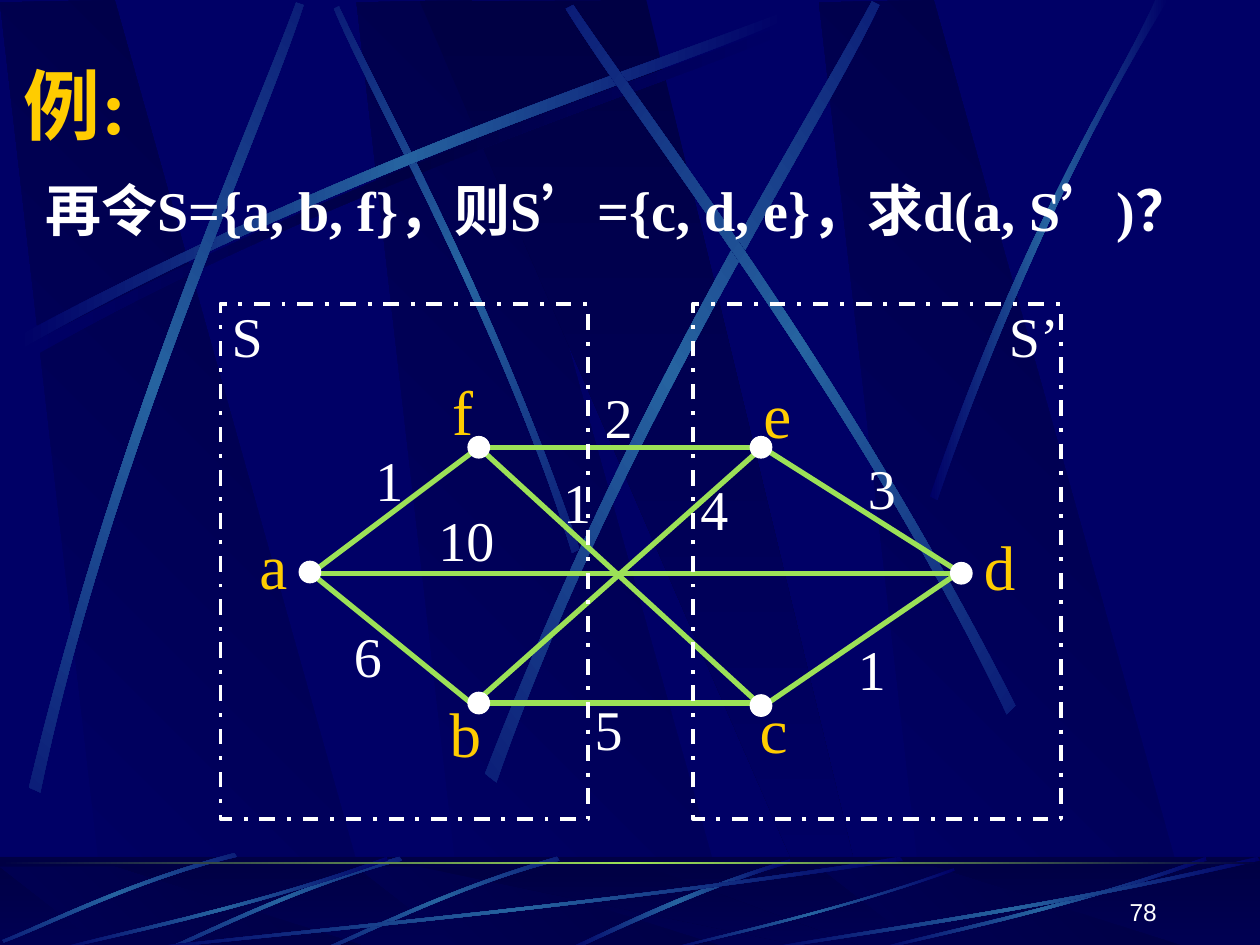
import math
from typing import NamedTuple

import pptx
import pptx.dml.color
import pptx.enum.dml
import pptx.enum.shapes
import pptx.enum.text
import pptx.oxml
import pptx.oxml.ns
import pptx.util

COLS, ROWS = 10, 7.5
NAVY, DARK, TEAL, LIME, GOLD, WHITE = "000066", "000044", "2663A0", "9CE157", "FFCC00", "FFFFFF"
GLOW = (NAVY, TEAL, NAVY)
SHADE = (NAVY, DARK, NAVY)
SERIF, SANS = "Times New Roman", "Arial"
SHAPE = pptx.enum.shapes.MSO_SHAPE
ALIGN = pptx.enum.text.PP_ALIGN
ANCHOR = pptx.enum.text.MSO_ANCHOR


class Streak(NamedTuple):
    out: tuple
    back: tuple
    turn: float = 0
    tones: tuple = GLOW
    shifts: tuple = (0,)


class Label(NamedTuple):
    text: str
    col: float
    row: float
    width: float = 0.42
    tone: str = WHITE
    size: int = 32


SLAT = ((0.86, 7.51), (3.02, 7.52), (0.91, 0), (0, 0.02))
WEDGE = ((3.33, 0.01), (6.58, 7.51), (6.94, 7.51), (5.13, 0))
LOW_SLAT = ((0.86, 7.55), (3.02, 7.55), (0.91, 6.88), (0, 6.88))
LOW_WEDGE = ((3.33, 6.88), (6.58, 7.55), (6.94, 7.55), (5.13, 6.88))

HIGH = (
    Streak((0.2, 2.75, 2.84, 1.34, 5.24, 0.59, 6.26, 0.18),
           (6.29, 0.24, 5.28, 0.69, 2.54, 1.51, 0.23, 2.85), 0, SHADE),
    Streak((4.6, 4.36, 3.91, 2.34, 3.02, 0.77, 2.69, 0.05),
           (2.65, 0.07, 2.95, 0.79, 3.98, 2.58, 4.54, 4.39), 45),
    Streak((0.14, 2.67, 2.78, 1.25, 5.18, 0.51, 6.2, 0.1),
           (6.23, 0.16, 5.22, 0.61, 2.48, 1.43, 0.17, 2.77)),
    Streak((0.23, 6.25, 0.93, 3.34, 1.97, 1.05, 2.35, 0.02),
           (2.41, 0.04, 2.07, 1.09, 0.86, 3.68, 0.32, 6.29), 311.7),
    Streak((3.85, 6.14, 4.98, 3.2, 6.38, 1.02, 6.92, 0.01),
           (6.98, 0.04, 6.49, 1.08, 4.86, 3.55, 3.94, 6.21), 321.6),
    Streak((8.06, 5.6, 6.7, 2.93, 5.16, 0.95, 4.55, 0.04),
           (4.49, 0.07, 5.07, 1.01, 6.85, 3.25, 7.99, 5.67), 34.7),
    Streak((7.38, 3.94, 8.14, 1.73, 8.88, 0.66, 9.17, 0),
           (9.27, 0, 8.36, 1.45, 7.69, 3.22, 7.44, 3.97)),
)
LOW = (
    Streak((6.27, 6.82, 5.37, 7.09, 4.77, 7.42, 4.48, 7.54),
           (4.53, 7.55, 4.9, 7.38, 5.71, 7, 6.28, 6.85)),
    Streak((4.42, 6.8, 3.55, 7.05, 2.87, 7.4, 2.56, 7.53),
           (2.57, 7.55, 2.88, 7.43, 3.65, 7.03, 4.44, 6.83), 315, GLOW, (0, -1.25)),
    Streak((1.86, 6.77, 0.99, 7, 0.33, 7.34, 0.02, 7.46),
           (0.03, 7.48, 0.34, 7.37, 1.1, 6.98, 1.88, 6.8), 315),
    Streak((7.17, 6.83, 4.49, 7.23, 2.06, 7.44, 1.03, 7.55),
           (1, 7.54, 2.02, 7.41, 4.8, 7.18, 7.14, 6.8)),
    Streak((3.08, 6.83, 1.93, 7.23, 0.88, 7.44, 0.43, 7.55),
           (0.42, 7.54, 0.86, 7.41, 2.06, 7.18, 3.07, 6.8), 0, GLOW, (0, 6.5)),
    Streak((7.58, 6.91, 6.58, 7.26, 5.67, 7.45, 5.28, 7.55),
           (5.27, 7.54, 5.65, 7.43, 6.69, 7.22, 7.57, 6.89)),
    Streak((10, 6.83, 8.27, 7.23, 6.69, 7.44, 6.02, 7.55),
           (6, 7.54, 6.66, 7.41, 8.46, 7.18, 9.98, 6.8)),
)

NODES = ((3.8, 3.55), (3.8, 5.58), (6.04, 3.55), (6.04, 5.6), (2.46, 4.54), (7.63, 4.55))
EDGES = (
    (3.8, 5.55, 6.05, 3.55), (3.8, 3.55, 6.04, 5.6), (2.47, 4.55, 3.8, 5.63),
    (3.8, 5.58, 6.05, 5.58), (6.05, 5.61, 7.63, 4.53), (2.47, 4.55, 7.63, 4.55),
    (2.47, 4.55, 3.8, 3.55), (3.8, 3.55, 6.05, 3.55), (6.05, 3.55, 7.63, 4.55),
)
LABELS = (
    Label("a", 1.96, 4.13, 0.42, GOLD, 36), Label("b", 3.47, 5.46, 0.45, GOLD, 36),
    Label("c", 5.93, 5.43, 0.42, GOLD, 36), Label("d", 7.71, 4.14, 0.45, GOLD, 36),
    Label("e", 5.96, 2.93, 0.42, GOLD, 36), Label("f", 3.49, 2.91, 0.37, GOLD, 36),
    Label("1", 2.88, 3.49), Label("2", 4.7, 2.99), Label("5", 4.62, 5.46),
    Label("6", 2.71, 4.88), Label("10", 3.38, 3.96, 0.65), Label("1", 4.37, 3.66),
    Label("1", 6.71, 4.99), Label("4", 5.46, 3.72), Label("3", 6.79, 3.55),
    Label("S’", 7.91, 2.34, 0.6), Label("S", 1.74, 2.34, 0.45),
)


def cells(*spans: float) -> list:
    return [pptx.util.Inches(span) for span in spans]


def tint(code: str):
    return pptx.dml.color.RGBColor.from_string(code)


def paint(shape, tones: tuple, angle: float = 0, alpha: int = 100) -> None:
    stops = "".join(
        f'<a:gs pos="{100000 * i // (len(tones) - 1)}"><a:srgbClr val="{tone}">'
        f'<a:alpha val="{alpha * 1000}"/></a:srgbClr></a:gs>'
        for i, tone in enumerate(tones))
    shape.shadow.inherit = False
    shape.line.fill.background()
    shape.fill.background()
    props = shape.element.spPr
    props.replace(props.find(pptx.oxml.ns.qn("a:noFill")), pptx.oxml.parse_xml(
        f'<a:gradFill {pptx.oxml.ns.nsdecls("a")} rotWithShape="1"><a:gsLst>{stops}</a:gsLst>'
        f'<a:lin ang="{int(angle * 60000)}" scaled="1"/></a:gradFill>'))


def outline(slide, points: list):
    first, *rest = [cells(*point) for point in points]
    pen = slide.shapes.build_freeform(*first)
    pen.add_line_segments(rest)
    return pen.convert_to_shape()


def curve(shape) -> None:
    legs = list(shape.element.iter(pptx.oxml.ns.qn("a:lnTo")))
    for trio in (legs[:3], legs[4:7]):
        arc = pptx.oxml.parse_xml(f'<a:cubicBezTo {pptx.oxml.ns.nsdecls("a")}/>')
        trio[0].addprevious(arc)
        for leg in trio:
            arc.append(leg[0])
            leg.getparent().remove(leg)


def spin(x: float, y: float, angle: float) -> tuple:
    c, s = math.cos(math.radians(angle)), math.sin(math.radians(angle))
    return x * c - y * s, x * s + y * c


def draw_streak(slide, streak: Streak) -> None:
    spots = streak.out + streak.back
    for shift in streak.shifts:
        flat = [spin(x + shift, y, -streak.turn) for x, y in zip(spots[::2], spots[1::2])]
        mid = [(min(axis) + max(axis)) / 2 for axis in zip(*flat)]
        hub = spin(*mid, streak.turn)
        shape = outline(slide, [(x + hub[0] - mid[0], y + hub[1] - mid[1]) for x, y in flat])
        curve(shape)
        shape.rotation = streak.turn
        paint(shape, streak.tones)


def draw_slats(slide, slat: tuple, wedge: tuple) -> None:
    for shift in (2.83, 0, 6.5):
        paint(outline(slide, [(x + shift, y) for x, y in slat]), (NAVY, DARK), 315)
    paint(outline(slide, wedge), (DARK, NAVY), 90)


def draw_bar(slide, row: float, height: float, tones: tuple, angle: float = 0,
             alpha: int = 100) -> None:
    bar = slide.shapes.add_shape(SHAPE.RECTANGLE, *cells(0, row, COLS, height))
    paint(bar, tones, angle, alpha)


def draw_back(slide) -> None:
    draw_slats(slide, SLAT, WEDGE)
    for streak in HIGH:
        draw_streak(slide, streak)
    draw_bar(slide, 6.8, 0.75, (DARK, NAVY), 90)
    draw_slats(slide, LOW_SLAT, LOW_WEDGE)
    draw_bar(slide, 6.8, 0.75, (DARK, DARK), 0, 50)
    for streak in LOW:
        draw_streak(slide, streak)
    draw_bar(slide, 6.84, 0.02, (DARK, LIME, DARK))
    layer = slide.slide_layout.placeholders[0].element.getparent()
    for shape in list(slide.shapes):
        if not shape.is_placeholder:
            layer.append(shape.element)


def write(shape, text: str, size: int, tone: str, font: str = SERIF, bold: bool = False,
          align=ALIGN.LEFT, anchor=ANCHOR.TOP, wrap: bool = True) -> None:
    frame = shape.text_frame
    frame.text = text
    frame.word_wrap = wrap
    frame.auto_size = pptx.enum.text.MSO_AUTO_SIZE.NONE
    frame.vertical_anchor = anchor
    para = frame.paragraphs[0]
    para.alignment = align
    para.font.name, para.font.size, para.font.bold = font, pptx.util.Pt(size), bold
    para.font.color.rgb = tint(tone)


def draw_edge(slide, ends: tuple) -> None:
    edge = slide.shapes.add_connector(pptx.enum.shapes.MSO_CONNECTOR.STRAIGHT, *cells(*ends))
    edge.line.color.rgb = tint(LIME)
    edge.line.width = pptx.util.Pt(3)
    edge.element.spPr.append(
        pptx.oxml.parse_xml(f'<a:effectLst {pptx.oxml.ns.nsdecls("a")}/>'))


def draw_node(slide, col: float, row: float, size: float = 0.17) -> None:
    dot = slide.shapes.add_shape(
        SHAPE.OVAL, *cells(col - size / 2, row - size / 2, size, size))
    dot.shadow.inherit = False
    dot.fill.solid()
    dot.fill.fore_color.rgb = dot.line.color.rgb = tint(WHITE)
    dot.line.width = pptx.util.Pt(0.75)


def draw_set(slide, col: float) -> None:
    box = slide.shapes.add_shape(SHAPE.RECTANGLE, *cells(col, 2.41, 2.92, 4.09))
    box.shadow.inherit = False
    box.fill.background()
    box.line.color.rgb = tint(WHITE)
    box.line.width = pptx.util.Pt(2.25)
    box.line.dash_style = pptx.enum.dml.MSO_LINE.DASH_DOT


def main() -> None:
    deck = pptx.Presentation()
    deck.slide_width, deck.slide_height = cells(COLS, ROWS)
    slide = deck.slides.add_slide(deck.slide_layouts[5])
    slide.background.fill.solid()
    slide.background.fill.fore_color.rgb = tint(NAVY)
    draw_back(slide)

    title = slide.shapes.title
    title.left, title.top, title.width, title.height = cells(0.09, 0.41, 8.92, 0.83)
    write(title, "例:", 44, GOLD, bold=True, anchor=ANCHOR.MIDDLE)
    body = slide.shapes.add_textbox(*cells(0.26, 1.34, 9.5, 1.33))
    write(body, "再令S={a, b, f}，则S’={c, d, e}，求d(a, S’)？", 32, WHITE, bold=True)

    for ends in EDGES:
        draw_edge(slide, ends)
    for spot in NODES:
        draw_node(slide, *spot)
    for col in (5.5, 1.75):
        draw_set(slide, col)
    for label in LABELS:
        box = slide.shapes.add_textbox(
            *cells(label.col, label.row, label.width, 0.7 if label.size > 32 else 0.63))
        write(box, label.text, label.size, label.tone, wrap=False)

    page = slide.shapes.add_textbox(*cells(7.2, 6.9, 2.08, 0.5))
    write(page, "78", 14, WHITE, SANS, align=ALIGN.RIGHT, anchor=ANCHOR.BOTTOM)
    deck.save("out.pptx")


if __name__ == "__main__":
    main()
